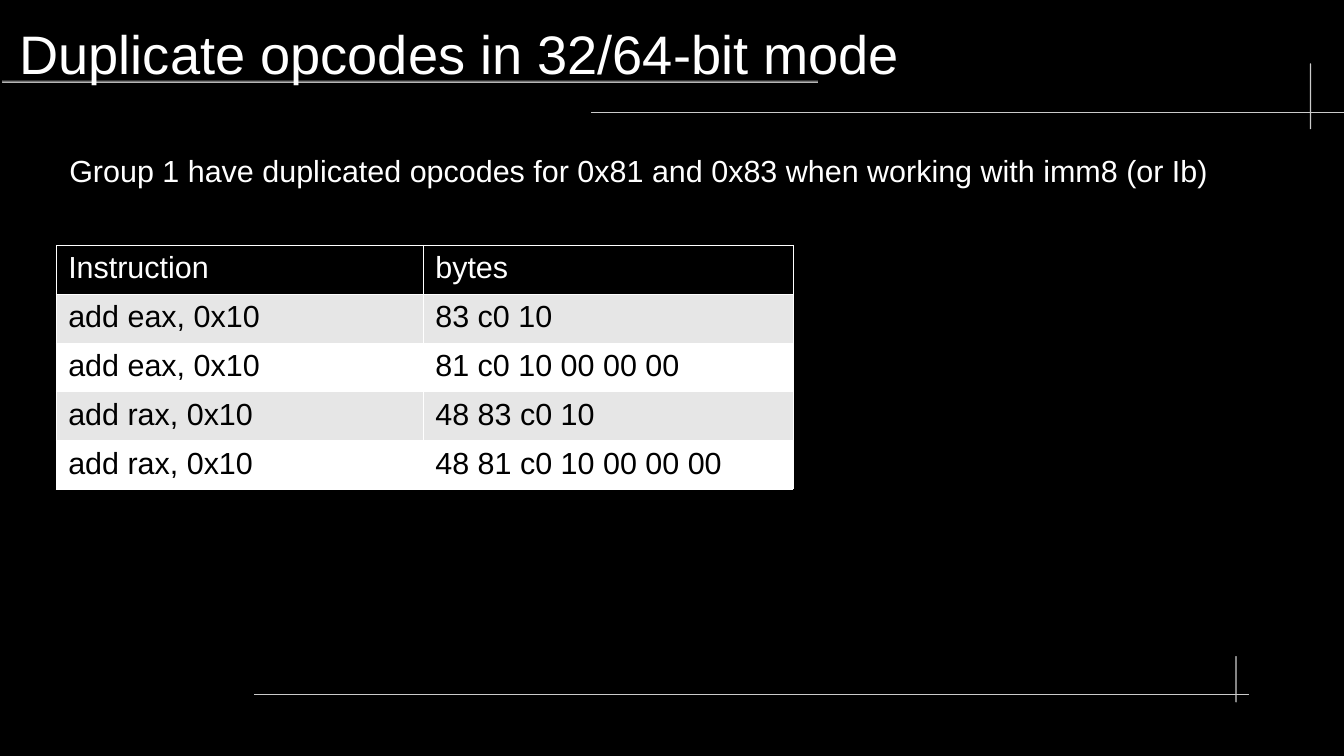
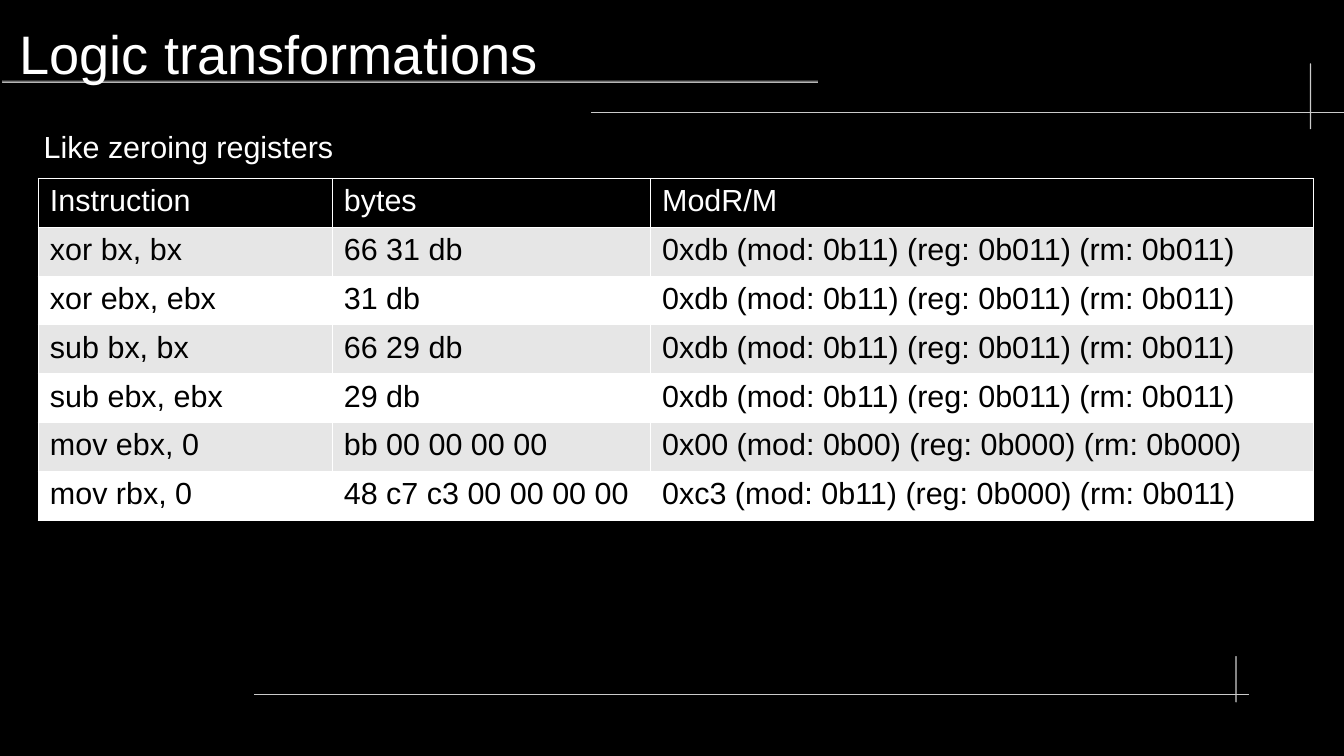
from lxml import etree
from pptx import Presentation
from pptx import util as u
from pptx.dml.color import RGBColor
from pptx.enum import shapes, text
from pptx.oxml.ns import qn

W, H = 11.02, 6.2
ROW_H = 0.4
WHITE, BLACK, BAND, PALE, DARK = "FFFFFF", "000000", "E6E6E6", "CCCCCC", "333333"
RULES = [
    (0.02, 0.66, 6.69, 0.02, PALE, DARK),
    (4.85, 0.92, W - 4.85, 0.01, DARK, PALE),
    (10.74, 0.52, 0.01, 0.54, PALE, PALE),
    (2.08, 5.69, 8.16, 0.01, DARK, PALE),
    (10.13, 5.38, 0.01, 0.38, PALE, PALE),
]
DB = "0xdb (mod: 0b11) (reg: 0b011) (rm: 0b011)"
SLIDES = [
    {
        "title": "Duplicate opcodes in 32/64-bit mode",
        "note": "Group 1 have duplicated opcodes for 0x81 and 0x83 when working with imm8 (or Ib)",
        "note_at": (0.47, 1.2),
        "table_at": (0.46, 2.01),
        "cols": (3.01, 3.03),
        "rows": [
            ("Instruction", "bytes"),
            ("add eax, 0x10", "83 c0 10"),
            ("add eax, 0x10", "81 c0 10 00 00 00"),
            ("add rax, 0x10", "48 83 c0 10"),
            ("add rax, 0x10", "48 81 c0 10 00 00 00"),
        ],
    },
    {
        "title": "Logic transformations",
        "note": "Like zeroing registers",
        "note_at": (0.26, 1),
        "table_at": (0.31, 1.46),
        "cols": (2.41, 2.61, 5.44),
        "rows": [
            ("Instruction", "bytes", "ModR/M"),
            ("xor bx, bx", "66 31 db", DB),
            ("xor ebx, ebx", "31 db", DB),
            ("sub bx, bx", "66 29 db", DB),
            ("sub ebx, ebx", "29 db", DB),
            ("mov ebx, 0", "bb 00 00 00 00", "0x00 (mod: 0b00) (reg: 0b000) (rm: 0b000)"),
            ("mov rbx, 0", "48 c7 c3 00 00 00 00", "0xc3 (mod: 0b11) (reg: 0b000) (rm: 0b011)"),
        ],
    },
]


def color(target, value):
    target.rgb = RGBColor.from_string(value)


def write(tf, words, size, ink, **frame):
    for key, value in frame.items():
        setattr(tf, key, value)
    r = tf.paragraphs[0].add_run()
    r.text = words
    for key, value in {"size": u.Pt(size), "name": "Arial", "bold": False}.items():
        setattr(r.font, key, value)
    color(r.font.color, ink)


prs = Presentation()
prs.slide_width, prs.slide_height = u.Inches(W), u.Inches(H)
back = prs.slide_master.background.fill
back.solid()
color(back.fore_color, BLACK)

for page in SLIDES:
    s = prs.slides.add_slide(prs.slide_layouts[6])

    for *box, start, end in RULES:
        sp = s.shapes.add_shape(shapes.MSO_SHAPE.ROUNDED_RECTANGLE, *map(u.Inches, box))
        sp.adjustments[0] = 0.5
        sp.shadow.inherit = False
        sp.line.fill.background()
        if start == end:
            sp.fill.solid()
            color(sp.fill.fore_color, start)
        else:
            sp.fill.gradient()
            sp.fill.gradient_angle = 90
            for stop, value in zip(sp.fill.gradient_stops, (start, end)):
                color(stop.color, value)

    title = s.shapes.add_textbox(*map(u.Inches, (0.16, 0.08, 10.43, 0.71)))
    write(title.text_frame, page["title"], 32, WHITE, word_wrap=True,
          vertical_anchor=text.MSO_ANCHOR.MIDDLE,
          margin_left=0, margin_right=0, margin_top=0, margin_bottom=0)

    x, y = page["note_at"]
    note = s.shapes.add_textbox(*map(u.Inches, (x, y, 10, 0.38)))
    write(note.text_frame, page["note"], 18, WHITE, word_wrap=True)

    rows, cols = page["rows"], page["cols"]
    size = sum(cols), ROW_H * len(rows)
    frame = s.shapes.add_table(len(rows), len(cols), *map(u.Inches, page["table_at"] + size))
    table = frame.table
    for col, width in zip(table.columns, cols):
        col.width = u.Inches(width)
    for i, row in enumerate(rows):
        table.rows[i].height = u.Inches(ROW_H)
        fill, ink = (BLACK, WHITE) if i == 0 else (BAND if i % 2 else WHITE, BLACK)
        for j, words in enumerate(row):
            cell = table.cell(i, j)
            write(cell.text_frame, words, 18, ink)
            tcPr = cell._tc.get_or_add_tcPr()
            for side in ("lnL", "lnR", "lnT", "lnB"):
                ln = etree.SubElement(tcPr, qn("a:" + side), w=str(u.Pt(0.06)))
                solid = etree.SubElement(ln, qn("a:solidFill"))
                etree.SubElement(solid, qn("a:srgbClr"), val=WHITE)
            cell.fill.solid()
            color(cell.fill.fore_color, fill)

prs.save("out.pptx")
